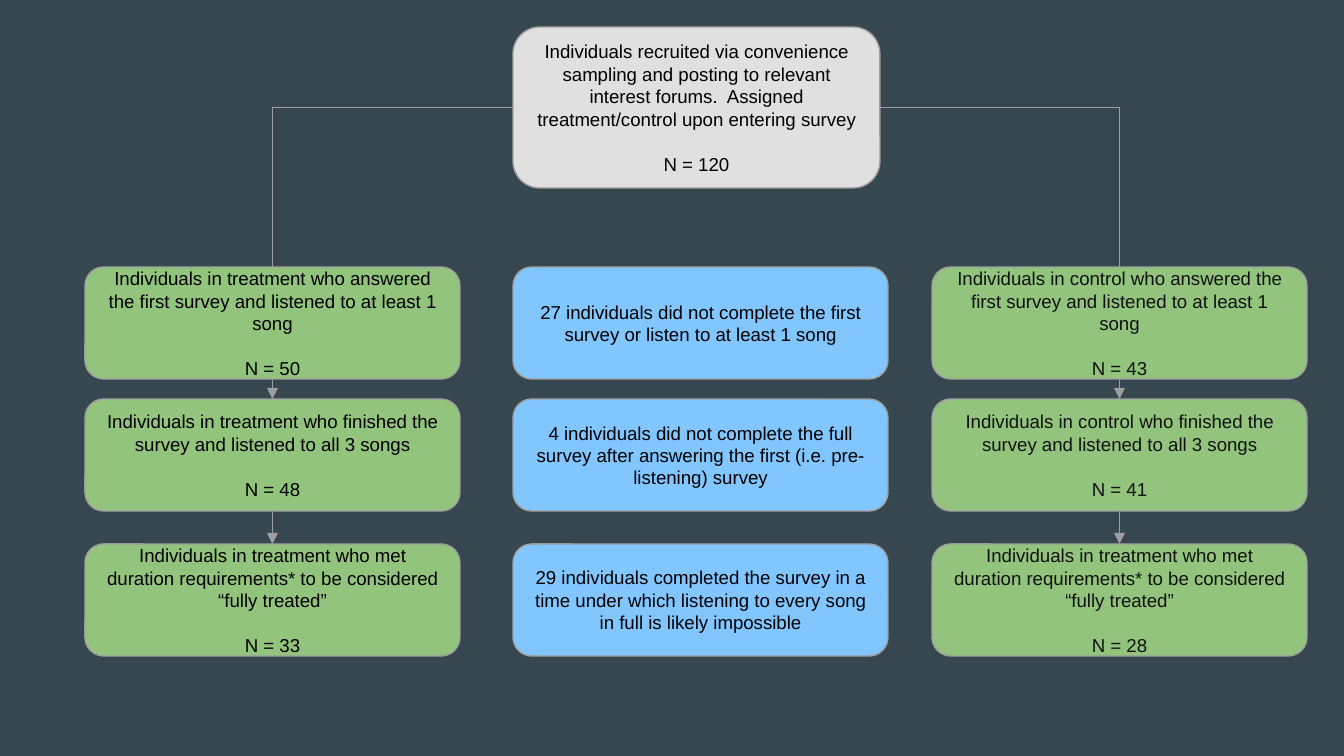
from pptx import Presentation
from pptx.dml.color import RGBColor
from pptx.enum.shapes import MSO_CONNECTOR, MSO_SHAPE
from pptx.enum.text import MSO_ANCHOR, PP_ALIGN
from pptx.oxml.ns import qn
from pptx.util import Inches, Pt
from lxml.etree import SubElement

EMU_PER_PX = 914400 / 134.4
SLIDE_SIZE = (1344, 756)

BACKGROUND = RGBColor(0x37, 0x47, 0x4F)
GREY = RGBColor(0xE0, 0xE0, 0xE0)
GREEN = RGBColor(0x93, 0xC4, 0x7D)
BLUE = RGBColor(0x82, 0xC6, 0xFF)
OUTLINE = RGBColor(0x9E, 0x9E, 0x9E)
BLACK = RGBColor(0x00, 0x00, 0x00)
NEAR_BLACK = RGBColor(0x11, 0x11, 0x11)

RECRUITED = [
    "Individuals recruited via convenience sampling and posting to relevant "
    "interest forums.  Assigned treatment/control upon entering survey",
    "N = 120",
]
FULLY_TREATED = ("Individuals in treatment who met duration requirements* "
                 "to be considered “fully treated”")
TREATMENT = [
    ["Individuals in treatment who answered the first survey and listened to at least 1 song",
     "N = 50"],
    ["Individuals in treatment who finished the survey and listened to all 3 songs", "N = 48"],
    [FULLY_TREATED, "N = 33"],
]
CONTROL = [
    ["Individuals in control who answered the first survey and listened to at least 1 song",
     "N = 43"],
    ["Individuals in control who finished the survey and listened to all 3 songs", "N = 41"],
    [FULLY_TREATED, "N = 28"],
]
DROPOUTS = [
    ["27 individuals did not complete the first survey or listen to at least 1 song"],
    ["4 individuals did not complete the full survey after answering the first "
     "(i.e. pre-listening) survey"],
    ["29 individuals completed the survey in a time under which listening to "
     "every song in full is likely impossible"],
]

RECRUITED_BOX = (513, 27, 367, 161)
TREATMENT_LEFT, DROPOUT_LEFT, CONTROL_LEFT = 85, 513, 932
ROW_TOPS = (267, 399, 544)
BOX_WIDTH, BOX_HEIGHT = 375, 112
TOP, LEFT, BOTTOM, RIGHT = range(4)


def px(length):
    return round(length * EMU_PER_PX)


def add_box(slide, box, paragraphs, fill, font_color=BLACK):
    shape = slide.shapes.add_shape(MSO_SHAPE.ROUNDED_RECTANGLE, *map(px, box))
    shape.shadow.inherit = False
    shape.fill.solid()
    shape.fill.fore_color.rgb = fill
    shape.line.color.rgb = OUTLINE
    shape.line.width = Pt(0.75)
    frame = shape.text_frame
    frame.word_wrap = True
    frame.vertical_anchor = MSO_ANCHOR.MIDDLE
    frame.margin_left = frame.margin_right = Inches(0.1)
    frame.margin_top = frame.margin_bottom = Inches(0.1)
    for index, text in enumerate(paragraphs):
        paragraph = frame.add_paragraph() if index else frame.paragraphs[0]
        paragraph.alignment = PP_ALIGN.CENTER
        if index:
            paragraph.space_before = Pt(12)
        run = paragraph.add_run()
        run.text = text
        run.font.name = "Arial"
        run.font.size = Pt(10)
        run.font.color.rgb = font_color
    return shape


def add_column(slide, left, texts, fill, font_color=BLACK):
    return [add_box(slide, (left, top, BOX_WIDTH, BOX_HEIGHT), paragraphs, fill, font_color)
            for top, paragraphs in zip(ROW_TOPS, texts)]


def join(slide, kind, start, start_side, end):
    """Connect one side of the start box to the top of the end box."""
    connector = slide.shapes.add_connector(kind, 0, 0, 0, 0)
    connector.begin_connect(start, start_side)
    connector.end_connect(end, TOP)
    connector.line.color.rgb = OUTLINE
    connector.line.width = Pt(0.75)
    properties = connector._element.spPr
    if kind == MSO_CONNECTOR.ELBOW:
        properties.find(qn("a:prstGeom")).set("prst", "bentConnector2")
    else:
        SubElement(properties.find(qn("a:ln")), qn("a:tailEnd"), type="triangle")
    SubElement(properties, qn("a:effectLst"))


def main():
    presentation = Presentation()
    presentation.slide_width, presentation.slide_height = map(px, SLIDE_SIZE)
    slide = presentation.slides.add_slide(presentation.slide_layouts[6])
    slide.background.fill.solid()
    slide.background.fill.fore_color.rgb = BACKGROUND

    recruited = add_box(slide, RECRUITED_BOX, RECRUITED, GREY)
    treatment = add_column(slide, TREATMENT_LEFT, TREATMENT, GREEN)
    control = add_column(slide, CONTROL_LEFT, CONTROL, GREEN, NEAR_BLACK)
    add_column(slide, DROPOUT_LEFT, DROPOUTS, BLUE)

    for side, column in ((LEFT, treatment), (RIGHT, control)):
        join(slide, MSO_CONNECTOR.ELBOW, recruited, side, column[0])
        for upper, lower in zip(column, column[1:]):
            join(slide, MSO_CONNECTOR.STRAIGHT, upper, BOTTOM, lower)

    presentation.save("out.pptx")


if __name__ == "__main__":
    main()
